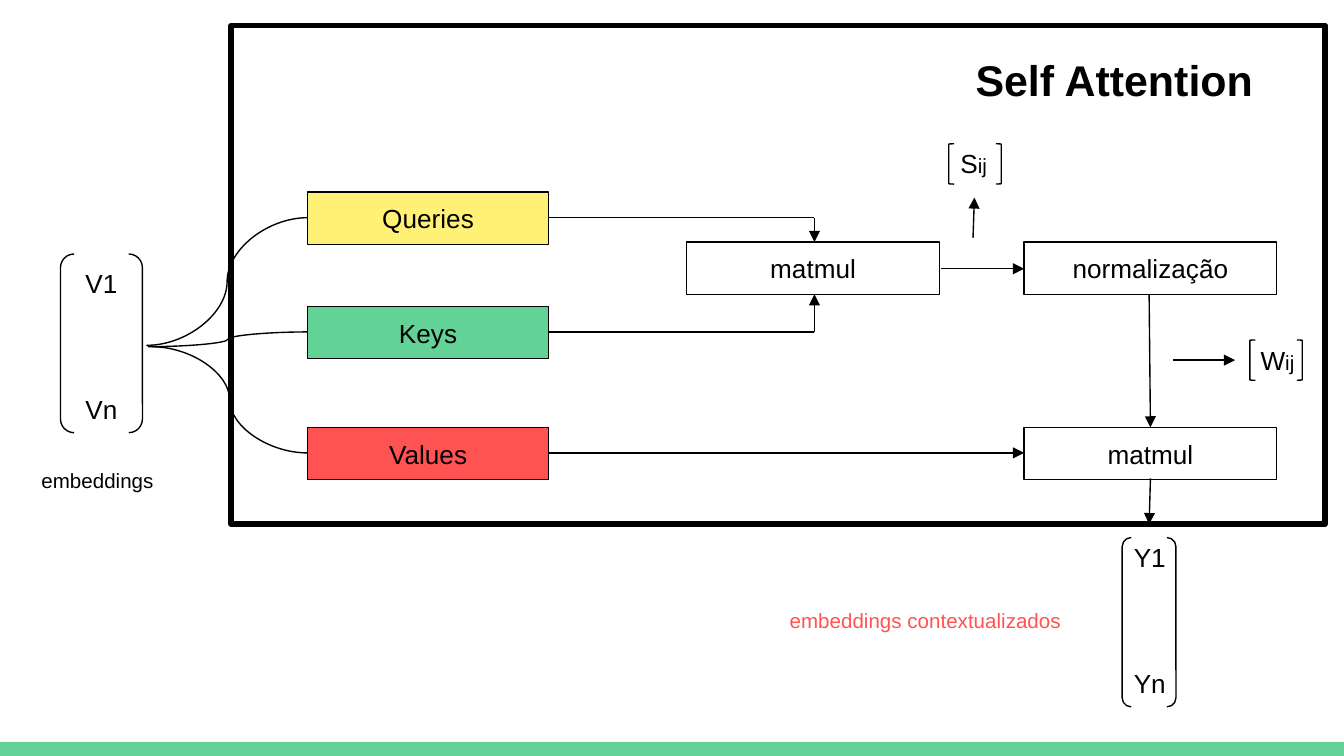
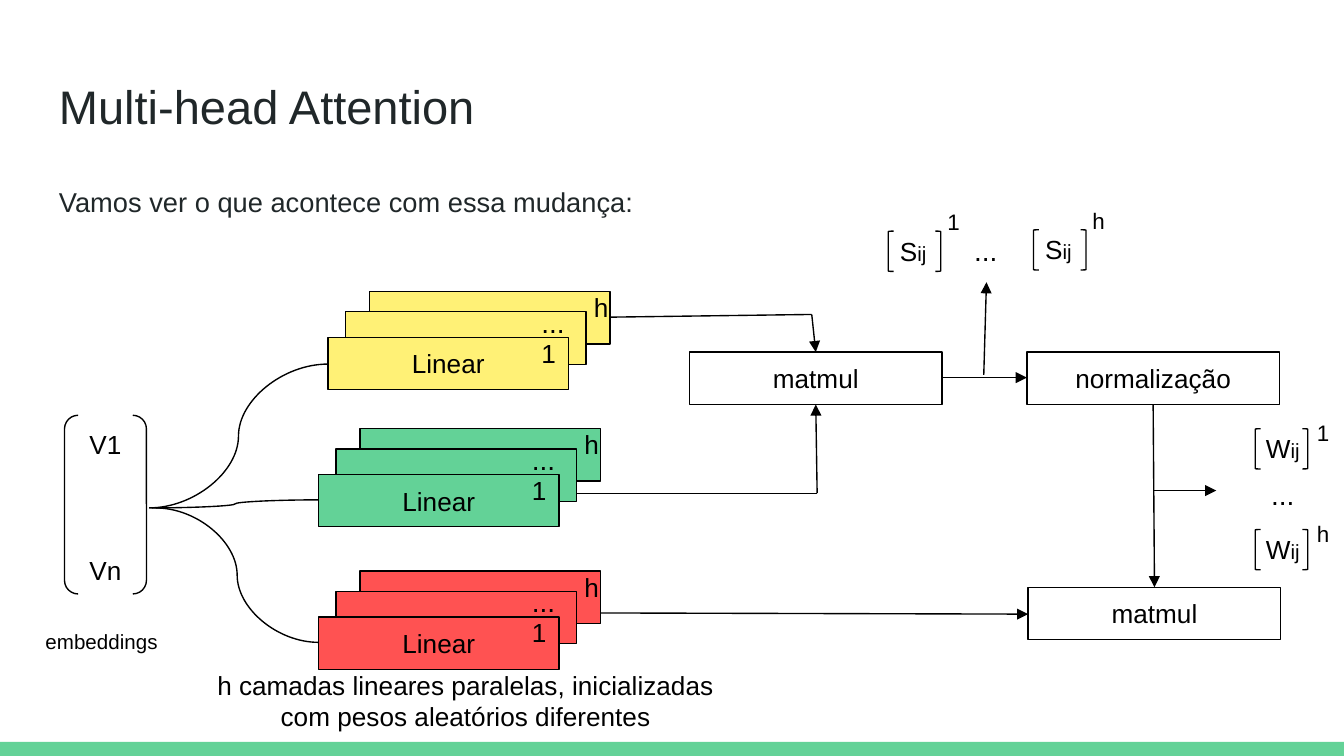
from dataclasses import dataclass
from itertools import pairwise
from lxml.etree import SubElement
from pptx import Presentation
from pptx.dml.color import RGBColor
from pptx.enum.shapes import MSO_CONNECTOR, MSO_SHAPE
from pptx.enum.text import MSO_ANCHOR, PP_ALIGN
from pptx.oxml.ns import qn
from pptx.util import Inches, Pt


@dataclass(frozen=True)
class Theme:
    font: str = "Arial"
    black: str = "000000"
    ink: str = "202729"
    green: str = "63D297"
    yellow: str = "FFF176"
    red: str = "FF5252"
    thin: float = 0.75
    thick: float = 3
    head: float = 25.2
    lead: float = 14.6
    name: float = 23
    dots: float = 15
    body: float = 14
    power: float = 12
    small: float = 11
    gap: float = 50.5


T = Theme()
WIDE = 10
HIGH = WIDE * 9 / 16
BOX_W, STEP_W, BOX_H = 1.79, 1.88, 0.39
MARKS = {"S": (0.43, 0.37, -0.2), "W": (0.47, 0.39, -0.1)}
LAYERS = [(0.31, -0.34), (0.13, -0.19), (0, 0)]
TAGS = [
    ("1", 1.49, -0.1, 0.3, 0.44, T.body),
    ("...", 1.49, -0.34, 0.77, 0.45, T.dots),
    ("h", 1.88, -0.44, 0.21, 0.44, T.body),
]

SELF = {
    "input": (0.43, 1.89),
    "steps": [("matmul", 5.11, 1.8), ("normalização", 7.62, 1.8), ("matmul", 7.62, 3.18)],
    "terms": [("S", 7.03, 1, ""), ("W", 9.27, 2.46, "")],
    "curves": [(1.13, 2.58, 2.29, 3.37), (1.1, 2.58, 2.29, 2.47), (1.09, 2.57, 2.29, 1.62)],
    "routes": [
        [(4.08, 1.62), (6.06, 1.62), (6.06, 1.8)],
        [(4.08, 2.47), (6.06, 2.47), (6.06, 2.19)],
        [(7, 2), (7.62, 2)],
        [(8.55, 2.19), (8.56, 3.18)],
        [(4.08, 3.37), (7.62, 3.37)],
        [(8.56, 3.56), (8.55, 3.9)],
        [(8.73, 2.68), (9.19, 2.68)],
        [(7.24, 1.77), (7.25, 1.47)],
    ],
}
ROLES = [("Queries", 1.43, T.yellow), ("Keys", 2.28, T.green), ("Values", 3.18, T.red)]

MULTI = {
    "input": (0.46, 3.09),
    "steps": [("matmul", 5.13, 2.62), ("normalização", 7.64, 2.62), ("matmul", 7.65, 4.37)],
    "terms": [("S", 6.58, 1.65, "1"), ("S", 7.66, 1.64, "h"),
              ("W", 9.31, 3.12, "1"), ("W", 9.31, 3.87, "h")],
    "curves": [(1.16, 3.78, 2.37, 4.78), (1.13, 3.78, 2.37, 3.72), (1.11, 3.78, 2.44, 2.71)],
    "routes": [
        [(4.54, 2.36), (6.04, 2.34), (6.07, 2.62)],
        [(4.11, 3.67), (6.08, 3.67), (6.07, 3.01)],
        [(7.01, 2.81), (7.64, 2.81)],
        [(8.58, 3.01), (8.59, 4.37)],
        [(4.11, 4.56), (7.65, 4.57)],
        [(8.58, 3.65), (9.05, 3.65)],
        [(7.32, 2.79), (7.34, 2.1)],
    ],
}
STACKS = [(2.44, 2.51, T.yellow), (2.37, 3.53, T.green), (2.37, 4.59, T.red)]
DOTS = [(7.1, 1.64, 0.47), (9.33, 3.45, 0.43)]


def inch(*sizes):
    return [Inches(size) for size in sizes]


def style(para, size, color=T.black, bold=False, align=PP_ALIGN.CENTER):
    para.alignment = align
    para.font.name = T.font
    para.font.size = Pt(size)
    para.font.bold = bold
    para.font.color.rgb = RGBColor.from_string(color)


def pad(frame):
    frame.word_wrap = True
    frame.margin_left = frame.margin_right = Inches(0.1)
    frame.margin_top = frame.margin_bottom = Inches(0.1)


def write(slide, text, x, y, w, h, size=T.body, **look):
    frame = slide.shapes.add_textbox(*inch(x, y, w, h)).text_frame
    pad(frame)
    frame.text = text
    for para in frame.paragraphs:
        style(para, size, **look)
    return frame


def shape(slide, kind, x, y, w, h, fill=None, line=T.thin):
    form = slide.shapes.add_shape(kind, *inch(x, y, w, h))
    form.shadow.inherit = False
    if fill:
        form.fill.solid()
        form.fill.fore_color.rgb = RGBColor.from_string(fill)
    else:
        form.fill.background()
    if line:
        form.line.color.rgb = RGBColor.from_string(T.black)
        form.line.width = Pt(line)
    else:
        form.line.fill.background()
    return form


def box(slide, text, x, y, w, fill=None):
    form = shape(slide, MSO_SHAPE.RECTANGLE, x, y, w, BOX_H, fill)
    if text:
        frame = form.text_frame
        pad(frame)
        frame.vertical_anchor = MSO_ANCHOR.MIDDLE
        frame.text = text
        style(frame.paragraphs[0], T.body)


def link(slide, kind, ends, arrow=False):
    wire = slide.shapes.add_connector(kind, *inch(*ends))
    wire.line.color.rgb = RGBColor.from_string(T.black)
    wire.line.width = Pt(T.thin)
    if arrow:
        SubElement(wire._element.spPr.find(qn("a:ln")), qn("a:tailEnd"), type="triangle")
    SubElement(wire._element.spPr, qn("a:effectLst"))


def route(slide, points):
    for start, end in pairwise(points):
        link(slide, MSO_CONNECTOR.STRAIGHT, start + end, end == points[-1])


def vector(slide, letter, x, y, dx, dy, w, h):
    shape(slide, MSO_SHAPE.DOUBLE_BRACKET, x + dx, y + dy, w, h)
    frame = write(slide, f"{letter}1\n{letter}n", x, y, 0.65, 1.38)
    frame.paragraphs[1].space_before = Pt(T.gap)


def term(slide, letter, x, y, power):
    width, dx, dy = MARKS[letter]
    for kind, shift in ((MSO_SHAPE.LEFT_BRACKET, 0.03), (MSO_SHAPE.RIGHT_BRACKET, 0.38)):
        shape(slide, kind, x + shift, y + 0.07, 0.04, 0.3)
    para = write(slide, letter, x, y, width, 0.44).paragraphs[0]
    run = para.add_run()
    run.text = "ij"
    run.font.size = Pt(T.small)
    if power:
        write(slide, power, x + dx, y + dy, 0.3, 0.4, T.power, align=PP_ALIGN.LEFT)


def stack(slide, x, y, fill):
    for dx, dy in LAYERS:
        box(slide, "" if dx else "Linear", x + dx, y + dy, BOX_W, fill)
    for text, dx, dy, w, h, size in TAGS:
        write(slide, text, x + dx, y + dy, w, h, size, align=PP_ALIGN.LEFT)


def base(deck, plan):
    slide = deck.slides.add_slide(deck.slide_layouts[6])
    shape(slide, MSO_SHAPE.RECTANGLE, 0, 5.52, WIDE, 0.11, T.green, None)
    x, y = plan["input"]
    vector(slide, "V", x, y, 0.02, 0, 0.61, 1.33)
    write(slide, "embeddings", x - 0.22, y + 1.5, 1.1, 0.39, T.small, align=PP_ALIGN.LEFT)
    for text, left, top in plan["steps"]:
        box(slide, text, left, top, STEP_W)
    for ends in plan["curves"]:
        link(slide, MSO_CONNECTOR.CURVE, ends)
    for points in plan["routes"]:
        route(slide, points)
    for item in plan["terms"]:
        term(slide, *item)
    return slide


def single(deck):
    slide = base(deck, SELF)
    for text, y, fill in ROLES:
        box(slide, text, 2.29, y, BOX_W, fill)
    vector(slide, "Y", 8.23, 3.93, 0.12, 0.07, 0.4, 1.26)
    write(slide, "embeddings contextualizados", 5.69, 4.43, 2.39, 0.39, T.small, color=T.red)
    shape(slide, MSO_SHAPE.RECTANGLE, 1.72, 0.19, 8.14, 3.71, line=T.thick)
    write(slide, "Self Attention", 7.16, 0.3, 2.52, 0.59, T.name, bold=True, align=PP_ALIGN.LEFT)


def multi(deck):
    slide = base(deck, MULTI)
    for item in STACKS:
        stack(slide, *item)
    for x, y, w in DOTS:
        write(slide, "...", x, y, w, 0.45, T.dots)
    left = {"color": T.ink, "align": PP_ALIGN.LEFT}
    write(slide, "Multi-head Attention", 0.34, 0.48, 3.58, 0.63, T.head, **left)
    write(slide, "Vamos ver o que acontece com essa mudança:", 0.34, 1.28, 4.77, 0.63, T.lead, **left)
    write(slide, "h camadas lineares paralelas, inicializadas com pesos aleatórios diferentes",
          1.5, 4.88, 3.93, 0.67)


def main():
    deck = Presentation()
    deck.slide_width, deck.slide_height = inch(WIDE, HIGH)
    single(deck)
    multi(deck)
    deck.save("out.pptx")


if __name__ == "__main__":
    main()
